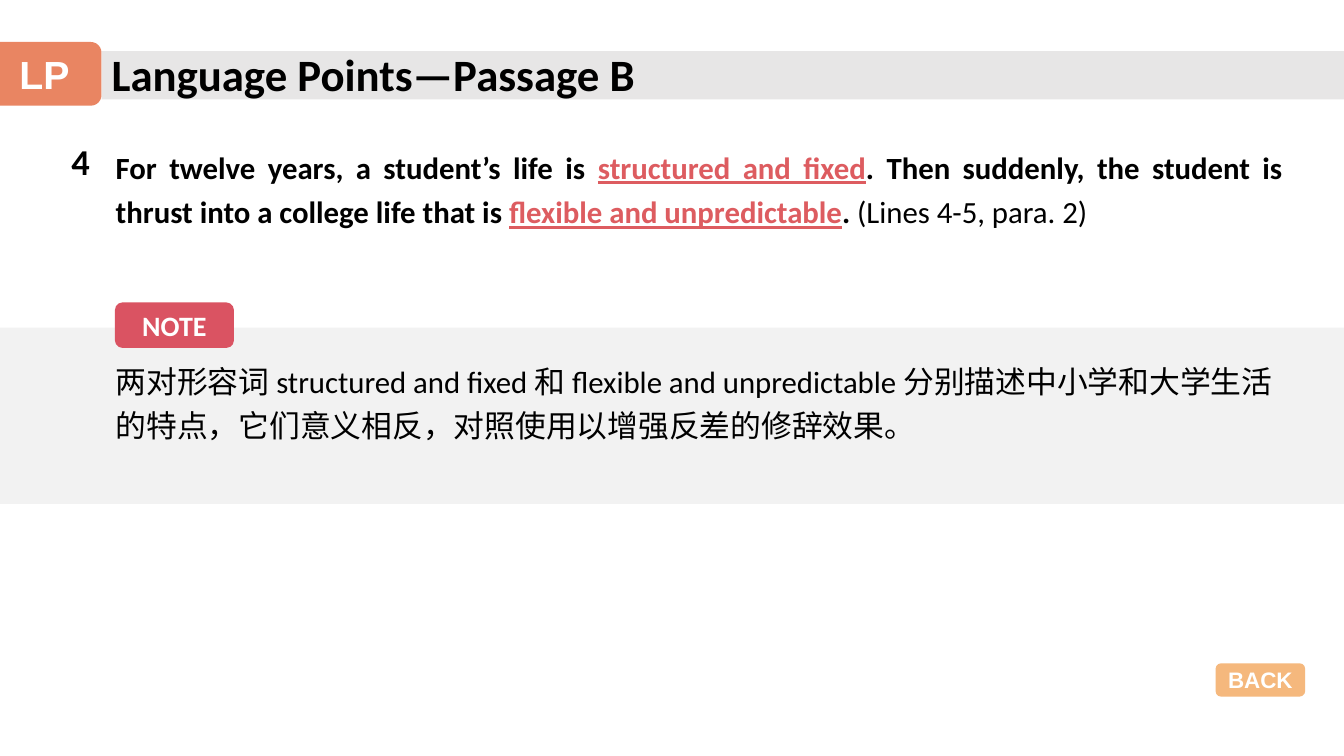
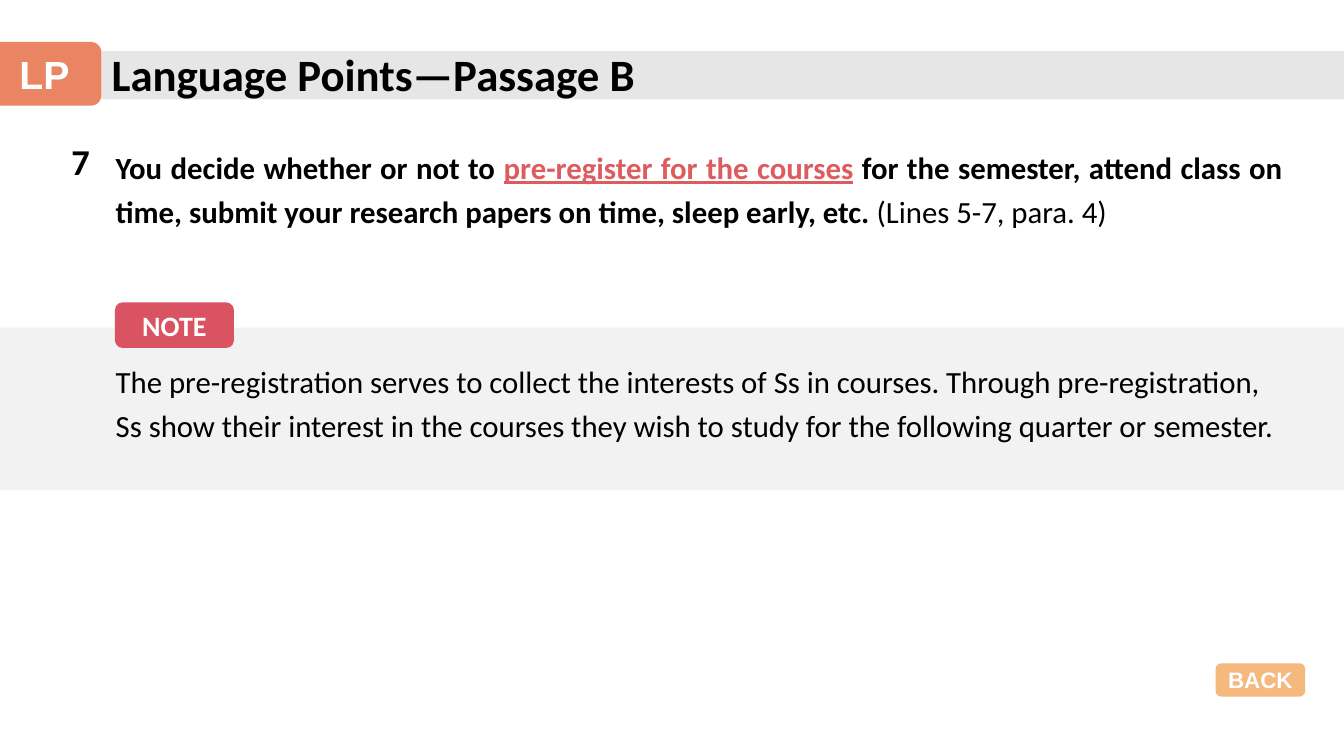
import pptx
import pptx.dml.color
import pptx.enum.shapes
import pptx.enum.text
import pptx.oxml.ns
import pptx.util
from lxml import etree

Pt = pptx.util.Pt
RGBColor = pptx.dml.color.RGBColor
MSO_SHAPE = pptx.enum.shapes.MSO_SHAPE
PP_ALIGN = pptx.enum.text.PP_ALIGN
MSO_ANCHOR = pptx.enum.text.MSO_ANCHOR
MSO_AUTO_SIZE = pptx.enum.text.MSO_AUTO_SIZE

BLACK = RGBColor(0x00, 0x00, 0x00)
WHITE = RGBColor(0xFF, 0xFF, 0xFF)
TITLE_BAND = RGBColor(0xE7, 0xE6, 0xE6)
NOTE_BAND = RGBColor(0xF2, 0xF2, 0xF2)
CORAL = RGBColor(0xE9, 0x85, 0x62)
ORANGE = RGBColor(0xF1, 0x9B, 0x48)
CRIMSON = RGBColor(0xDA, 0x53, 0x62)
KEY_PHRASE = RGBColor(0xDD, 0x5C, 0x60)

SLIDE_WIDTH, SLIDE_HEIGHT = 960, 540
TITLE = "Language Points—Passage B"

# Runs are (text, style) pairs
STYLES = {
    "bold": dict(bold=True),
    "key": dict(bold=True, underline=True, color=KEY_PHRASE),
    "plain": dict(),
}

POINTS = [
    dict(
        number="4",
        sentence=[
            ("For twelve years, a student’s life is ", "bold"),
            ("structured and fixed", "key"),
            (". Then suddenly, the student is thrust into a college life that is ", "bold"),
            ("flexible and unpredictable", "key"),
            (". ", "bold"),
            ("(Lines 4-5, para. 2)", "plain"),
        ],
        note=[
            "两对形容词 structured and fixed 和 flexible and unpredictable 分别描述中小学和大学生活",
            "的特点，它们意义相反，对照使用以增强反差的修辞效果。",
        ],
        note_height=126,
    ),
    dict(
        number="7",
        sentence=[
            ("You decide whether or not to ", "bold"),
            ("pre-register for the courses", "key"),
            (" for the semester, attend class on time, submit your research "
             "papers on time, sleep early, etc. ", "bold"),
            ("(Lines 5-7, para. 4)", "plain"),
        ],
        note=[
            "The pre-registration serves to collect the interests of Ss in courses. "
            "Through pre-registration,",
            "Ss show their interest in the courses they wish to study for the "
            "following quarter or semester.",
        ],
        note_height=116,
    ),
]


def add_run(paragraph, text, size, color=BLACK, bold=False, underline=False, font="Calibri"):
    run = paragraph.add_run()
    run.text = text
    run.font.name = font
    run.font.size = Pt(size)
    run.font.bold = bold
    run.font.underline = underline
    run.font.color.rgb = color


def add_block(slide, kind, left, top, width, height, color, opacity=100):
    """Add a flat filled shape; opacity is in percent."""
    block = slide.shapes.add_shape(kind, Pt(left), Pt(top), Pt(width), Pt(height))
    block.shadow.inherit = False
    block.line.fill.background()
    block.fill.solid()
    block.fill.fore_color.rgb = color
    if opacity < 100:
        fill_color = block.fill._xPr.find(".//" + pptx.oxml.ns.qn("a:srgbClr"))
        etree.SubElement(fill_color, pptx.oxml.ns.qn("a:alpha"), val=str(opacity * 1000))
    return block


def add_badge(slide, left, top, width, height, text, size, color, font, opacity=100):
    badge = add_block(slide, MSO_SHAPE.ROUNDED_RECTANGLE, left, top, width, height,
                      color, opacity)
    frame = badge.text_frame
    frame.word_wrap = True
    frame.vertical_anchor = MSO_ANCHOR.MIDDLE
    paragraph = frame.paragraphs[0]
    paragraph.alignment = PP_ALIGN.CENTER
    add_run(paragraph, text, size, WHITE, bold=True, font=font)


def add_text(slide, left, top, width, height):
    frame = slide.shapes.add_textbox(Pt(left), Pt(top), Pt(width), Pt(height)).text_frame
    frame.word_wrap = True
    return frame


def justify(paragraph):
    paragraph.alignment = PP_ALIGN.JUSTIFY
    paragraph.line_spacing = 1.2


def add_header(slide, top):
    tab_right = 72.5
    add_block(slide, MSO_SHAPE.RECTANGLE, tab_right, top + 7, SLIDE_WIDTH - tab_right, 34.5,
              TITLE_BAND)
    add_badge(slide, -9, top + 0.5, tab_right + 9, 45.5, "LP", 28, CORAL, "Arial")

    title = slide.shapes.title
    title.left, title.top, title.width, title.height = Pt(tab_right), Pt(top), Pt(489), Pt(46)
    frame = title.text_frame
    frame.word_wrap = True
    frame.auto_size = MSO_AUTO_SIZE.NONE
    frame.vertical_anchor = MSO_ANCHOR.TOP
    paragraph = frame.paragraphs[0]
    paragraph.alignment = PP_ALIGN.LEFT
    add_run(paragraph, TITLE, 32, bold=True)
    slide.shapes._spTree.append(title._element)  # in front of the band


def add_sentence(slide, left, top, number, runs):
    add_run(add_text(slide, left, top, 45, 39).paragraphs[0], number, 26, bold=True)
    paragraph = add_text(slide, left + 31.6, top + 1.5, 847.5, 69).paragraphs[0]
    justify(paragraph)
    for text, style in runs:
        add_run(paragraph, text, 22, **STYLES[style])


def add_note(slide, left, top, height, lines):
    add_block(slide, MSO_SHAPE.RECTANGLE, 0, top, SLIDE_WIDTH, height, NOTE_BAND)
    frame = add_text(slide, left, top + 16, 852.5, 69)
    for index, line in enumerate(lines):
        paragraph = frame.add_paragraph() if index else frame.paragraphs[0]
        justify(paragraph)
        add_run(paragraph, line, 22)
    add_badge(slide, left + 6.5, top - 18, 85, 32.5, "NOTE", 20, CRIMSON, "Calibri")


def add_point_slide(deck, point):
    slide = deck.slides.add_slide(deck.slide_layouts[5])
    add_header(slide, 29.5)
    add_sentence(slide, 44, 96, point["number"], point["sentence"])
    add_note(slide, 75.6, 234, point["note_height"], point["note"])
    add_badge(slide, 868.3, 473.8, 64, 23.8, "BACK", 16, ORANGE, "Arial", opacity=71)


def main():
    deck = pptx.Presentation()
    deck.slide_width, deck.slide_height = Pt(SLIDE_WIDTH), Pt(SLIDE_HEIGHT)
    for point in POINTS:
        add_point_slide(deck, point)
    deck.save("out.pptx")


if __name__ == "__main__":
    main()
